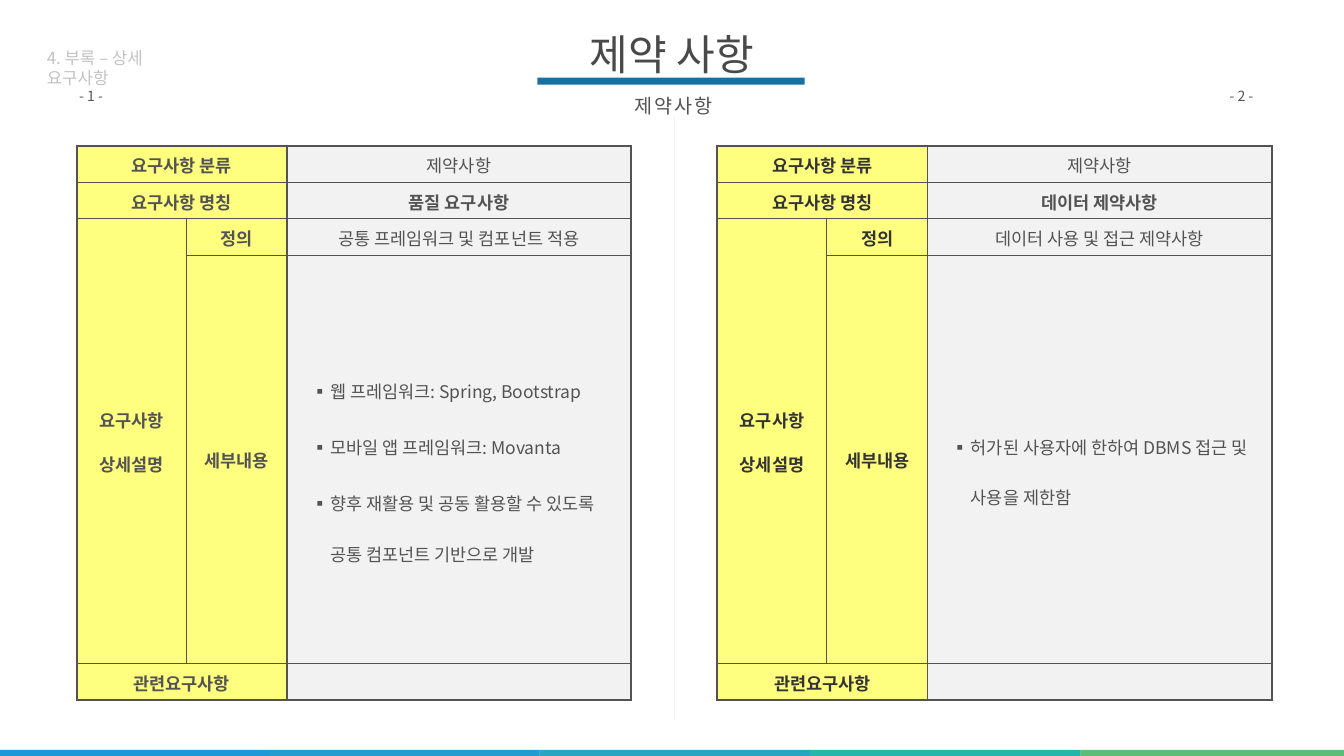
from lxml import etree
from pptx import Presentation, util as u
from pptx.dml.color import RGBColor
from pptx.enum import shapes, text
from pptx.oxml import ns

W, H = 26.66, 15
FONT = "Noto Sans CJK KR"
C = {"text": "535353", "title": "494949", "dark": "333333", "pale": "C2C2C2",
     "rule": "1772A2", "label": "FFFF00", "value": "F2F2F2", "white": "FFFFFF"}
FOOTER = ["1F98D8", "229CCE", "27A5C1", "24B6AB", "5BBD76"]
LABELS = [
    (0, 0, 1, 2, ["요구사항 분류"]),
    (1, 0, 1, 2, ["요구사항 명칭"]),
    (2, 0, 2, 1, ["요구사항", "상세설명"]),
    (2, 1, 1, 1, ["정의"]),
    (3, 1, 1, 1, ["세부내용"]),
    (4, 0, 1, 2, ["관련요구사항"]),
]
REQUIREMENTS = [
    {"left": 1.52, "label": "text", "category": "제약사항", "name": "품질 요구사항",
     "definition": "공통 프레임워크 및 컴포넌트 적용",
     "details": ["웹 프레임워크: Spring, Bootstrap",
                 "모바일 앱 프레임워크: Movanta",
                 "향후 재활용 및 공동 활용할 수 있도록 공통 컴포넌트 기반으로 개발"]},
    {"left": 14.23, "label": "dark", "category": "제약사항", "name": "데이터 제약사항",
     "definition": "데이터 사용 및 접근 제약사항",
     "details": ["허가된 사용자에 한하여 DBMS 접근 및 사용을 제한함"]},
]
TEXTS = [
    ("- 1 -", (1.52, 1.68, 0.94, 0.44), 20, "text", (0.05, 0.05), True),
    ("- 2 -", (24.34, 1.68, 0.9, 0.44), 20, "text", (0.05, 0.05), True),
    ("4. 부록 – 상세 요구사항", (0.83, 0.89, 2.3, 0.9), 24, "pale", (0.1, 0.05), True),
]
COLS = [2.17, 2, 6.83]
ROWS = [0.72, 0.72, 0.72, 8.11, 0.72]
V_LINES = [3, 1, 2.25, 3]
H_LINES = [3, 1, 1, 1, 1, 3]
TABLE_TOP = 2.9
CENTER = text.PP_ALIGN.CENTER


def rgb(name):
    return RGBColor.from_string(C.get(name, name))


def box(*lengths):
    return [u.Inches(n) for n in lengths]


def add_run(p, words, size, color, bold=False):
    r = p.add_run()
    r.text = words
    r.font.size, r.font.bold, r.font.name = u.Pt(size), bold, FONT
    r.font.color.rgb = rgb(color)
    ea = etree.SubElement(r.font._element, ns.qn("a:ea"))
    ea.set("typeface", FONT)
    return r


def add_rect(s, at, color, line=None):
    sp = s.shapes.add_shape(shapes.MSO_SHAPE.RECTANGLE, *box(*at))
    sp.shadow.inherit = False
    sp.fill.solid()
    sp.fill.fore_color.rgb = rgb(color)
    if line:
        sp.line.color.rgb, sp.line.width = rgb(line), u.Pt(1)
    else:
        sp.line.fill.background()


def set_insets(tf, x, y):
    tf.margin_left = tf.margin_right = u.Inches(x)
    tf.margin_top = tf.margin_bottom = u.Inches(y)


def add_text(s, words, at, size, color, insets, wrap):
    tf = s.shapes.add_textbox(*box(*at)).text_frame
    tf.word_wrap = wrap
    set_insets(tf, *insets)
    p = tf.paragraphs[0]
    return p, add_run(p, words, size, color)


def add_bullet(p):
    pPr = p._p.get_or_add_pPr()
    pPr.set("marL", str(u.Inches(0.79)))
    pPr.set("indent", str(u.Inches(-0.38)))
    etree.SubElement(pPr, ns.qn("a:buFont")).set("typeface", FONT)
    etree.SubElement(pPr, ns.qn("a:buChar")).set("char", "▪")


def set_borders(cell, row, col, rows, cols):
    tcPr = cell._tc.get_or_add_tcPr()
    widths = {"lnL": V_LINES[col], "lnR": V_LINES[col + cols],
              "lnT": H_LINES[row], "lnB": H_LINES[row + rows]}
    for i, (side, width) in enumerate(widths.items()):
        ln = etree.Element(ns.qn("a:" + side), w=str(u.Pt(width)))
        fill = etree.SubElement(ln, ns.qn("a:solidFill"))
        etree.SubElement(fill, ns.qn("a:srgbClr"), val=C["text"])
        tcPr.insert(i, ln)


def fill_cell(table, row, col, lines, rows=1, cols=1, label=None, bold=False, bullets=False):
    cell = table.cell(row, col)
    if rows * cols > 1:
        cell.merge(table.cell(row + rows - 1, col + cols - 1))
    cell.fill.solid()
    cell.fill.fore_color.rgb = rgb("label" if label else "value")
    if label:
        color = cell._tc.tcPr.find(".//" + ns.qn("a:srgbClr"))
        etree.SubElement(color, ns.qn("a:alpha"), val="50000")
    set_borders(cell, row, col, rows, cols)
    cell.vertical_anchor = text.MSO_ANCHOR.MIDDLE
    inset = 0.01 if label else 0.07
    set_insets(cell, inset, inset)
    for i, words in enumerate(lines):
        p = cell.text_frame.paragraphs[0] if i == 0 else cell.text_frame.add_paragraph()
        if bullets:
            add_bullet(p)
        else:
            p.alignment = CENTER
        p.line_spacing = 2.0 if bullets else 1.07
        p.space_after = u.Pt(12 if label else 8)
        if label and i:
            p.space_before = u.Pt(12)
        add_run(p, words, 25, label or "text", bold)


def add_requirement(s, req):
    at = box(req["left"], TABLE_TOP, sum(COLS), sum(ROWS))
    table = s.shapes.add_table(len(ROWS), len(COLS), *at).table
    table.first_row = table.horz_banding = False
    for col, width in zip(table.columns, COLS):
        col.width = u.Inches(width)
    for row, height in zip(table.rows, ROWS):
        row.height = u.Inches(height)
    for row, col, rows, cols, lines in LABELS:
        fill_cell(table, row, col, lines, rows, cols, req["label"], True)
    values = [[req["category"]], [req["name"]], [req["definition"]], req["details"], []]
    for row, lines in enumerate(values):
        fill_cell(table, row, 2, lines, bold=row == 1, bullets=row == 3)


def main():
    prs = Presentation()
    prs.slide_width, prs.slide_height = box(W, H)
    s = prs.slides.add_slide(prs.slide_layouts[5])

    for i, color in enumerate(FOOTER):
        add_rect(s, (-0.03 + i * 5.365, 14.88, 5.37, 0.2), color)

    title = s.shapes.title
    title.left, title.top, title.width, title.height = box(10.53, 0.44, 5.6, 1.24)
    tf = title.text_frame
    tf.auto_size = text.MSO_AUTO_SIZE.NONE
    tf.vertical_anchor = text.MSO_ANCHOR.MIDDLE
    set_insets(tf, 0.12, 0.12)
    tf.paragraphs[0].alignment = CENTER
    add_run(tf.paragraphs[0], "제약 사항", 60, "title")

    add_rect(s, (10.66, 1.54, 5.3, 0.14), "rule")
    add_rect(s, (13.35, 2.3, 0.05, 11.96), "value", "white")
    for req in REQUIREMENTS:
        add_requirement(s, req)
    for item in TEXTS:
        add_text(s, *item)
    p, r = add_text(s, "제약사항", (12.33, 1.65, 2.05, 0.78), 28, "text", (0.24, 0.12), False)
    p.alignment, p.line_spacing = CENTER, 1.2
    r.font._element.set("spc", "300")

    prs.save("out.pptx")


if __name__ == "__main__":
    main()
